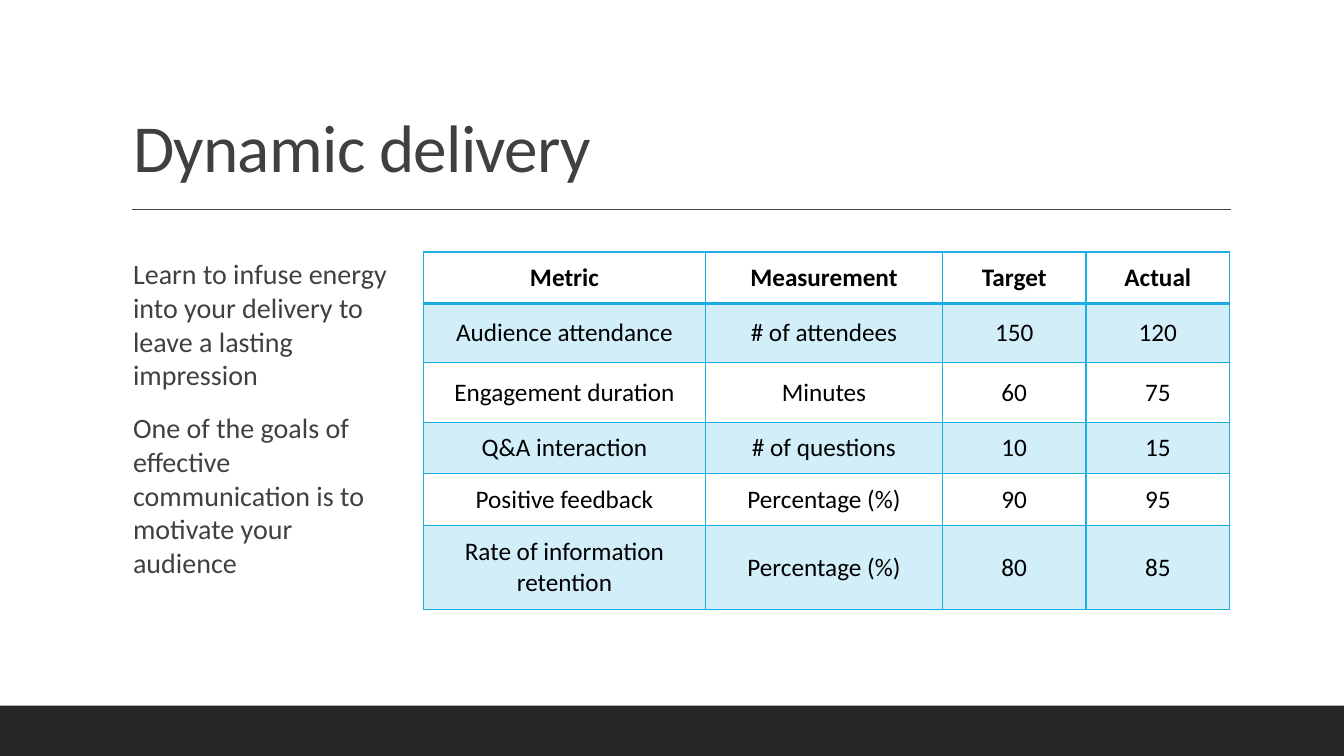
from typing import NamedTuple

from lxml.etree import SubElement
from pptx import Presentation
from pptx.dml.color import RGBColor
from pptx.enum.shapes import MSO_CONNECTOR, MSO_SHAPE
from pptx.enum.text import MSO_ANCHOR, PP_ALIGN
from pptx.oxml.ns import qn
from pptx.util import Inches, Pt

WIDE, HIGH = Inches(13.33), Inches(7.5)
FONT = "Calibri"
BLACK = RGBColor(0x00, 0x00, 0x00)
WHITE = RGBColor(0xFF, 0xFF, 0xFF)
GRAY = RGBColor(0x40, 0x40, 0x40)
DARK = RGBColor(0x26, 0x26, 0x26)
BLUE = RGBColor(0x1C, 0xAD, 0xE4)


def across(share: float) -> int:
    """Length for a percentage of the slide's width."""
    return round(WIDE * share / 100)


def down(share: float) -> int:
    """Length for a percentage of the slide's height."""
    return round(HIGH * share / 100)


class Box(NamedTuple):
    """Place on the slide, in percent of its width and height."""
    left: float
    top: float
    width: float
    height: float

    def place(self) -> tuple[int, int, int, int]:
        return (across(self.left), down(self.top),
                across(self.width), down(self.height))


class Block(NamedTuple):
    box: Box
    lines: list[str]
    size: int
    anchor: MSO_ANCHOR
    right: float
    space: float
    track: int


class Row(NamedTuple):
    height: float
    words: list[str]


BAR = Box(0, 93.33, 100, 6.67)
GRID = Box(31.5, 33.33, 60, 47.33)
COLUMNS = [21, 17.62, 10.69, 10.69]
BLOCKS = [
    Block(Box(9.9, 4.13, 81.6, 21.2), ["Dynamic delivery"],
          48, MSO_ANCHOR.BOTTOM, 0.1, 0.9, -50),
    Block(Box(9.9, 33.33, 19.65, 47.33), [
        "Learn to infuse energy into your delivery to leave a lasting impression",
        "One of the goals of effective communication is to motivate your audience",
    ], 20, MSO_ANCHOR.TOP, 0, 1, 0),
]
ROWS = [
    Row(6.8, ["Metric", "Measurement", "Target", "Actual"]),
    Row(7.87, ["Audience attendance", "# of attendees", "150", "120"]),
    Row(7.87, ["Engagement duration", "Minutes", "60", "75"]),
    Row(6.8, ["Q&A interaction", "# of questions", "10", "15"]),
    Row(6.8, ["Positive feedback", "Percentage (%)", "90", "95"]),
    Row(11.2, ["Rate of information retention", "Percentage (%)", "80", "85"]),
]


def draw_bar(slide) -> None:
    bar = slide.shapes.add_shape(MSO_SHAPE.RECTANGLE, *BAR.place())
    bar.shadow.inherit = False
    bar.fill.solid()
    bar.fill.fore_color.rgb = DARK
    bar.line.fill.background()


def draw_rule(slide) -> None:
    level = down(27.73)
    rule = slide.shapes.add_connector(
        MSO_CONNECTOR.STRAIGHT, across(9.83), level, across(91.6), level)
    rule.line.color.rgb = GRAY
    rule.line.width = Pt(1)
    SubElement(rule.element.spPr, qn("a:effectLst"))


def draw_block(slide, block: Block) -> None:
    frame = slide.shapes.add_textbox(*block.box.place()).text_frame
    frame.word_wrap = True
    frame.vertical_anchor = block.anchor
    frame.margin_left = 0
    frame.margin_right = Inches(block.right)
    frame.text = "\n".join(block.lines)
    for index, para in enumerate(frame.paragraphs):
        para.line_spacing = block.space
        para.space_before = Pt(12 if index else 0)
        para.space_after = Pt(2)
        para.font.name = FONT
        para.font.size = Pt(block.size)
        para.font.color.rgb = GRAY
        if block.track:
            for run in para.runs:
                run.font._element.set("spc", str(block.track))


def draw_edges(cell, top: int, bottom: int) -> None:
    """Add the four cell borders, with widths in points."""
    props = cell._tc.get_or_add_tcPr()
    for side, width in zip("LRTB", (1, 1, top, bottom)):
        edge = SubElement(props, qn(f"a:ln{side}"), w=str(Pt(width)))
        fill = SubElement(edge, qn("a:solidFill"))
        SubElement(fill, qn("a:srgbClr"), val=str(BLUE))


def paint(cell, band: bool) -> None:
    """Fill a cell, tinting it at one fifth strength in a band."""
    cell.fill.solid()
    cell.fill.fore_color.rgb = BLUE if band else WHITE
    if band:
        color = cell._tc.tcPr.find(qn("a:solidFill"))[0]
        SubElement(color, qn("a:alpha"), val="20000")


def draw_table(slide) -> None:
    table = slide.shapes.add_table(
        len(ROWS), len(COLUMNS), *GRID.place()).table
    table.horz_banding = False
    for column, share in zip(table.columns, COLUMNS):
        column.width = across(share)
    for i, row in enumerate(ROWS):
        table.rows[i].height = down(row.height)
        for j, word in enumerate(row.words):
            cell = table.cell(i, j)
            draw_edges(cell, 2 if i == 1 else 1, 2 if i == 0 else 1)
            paint(cell, i % 2 == 1)
            cell.vertical_anchor = MSO_ANCHOR.MIDDLE
            cell.text = word
            para = cell.text_frame.paragraphs[0]
            para.alignment = PP_ALIGN.CENTER
            para.font.name = FONT
            para.font.size = Pt(18)
            para.font.bold = i == 0
            para.font.color.rgb = BLACK


def main() -> None:
    deck = Presentation()
    deck.slide_width, deck.slide_height = WIDE, HIGH
    slide = deck.slides.add_slide(deck.slide_layouts[6])
    draw_bar(slide)
    draw_rule(slide)
    for block in BLOCKS:
        draw_block(slide, block)
    draw_table(slide)
    deck.save("out.pptx")


if __name__ == "__main__":
    main()
